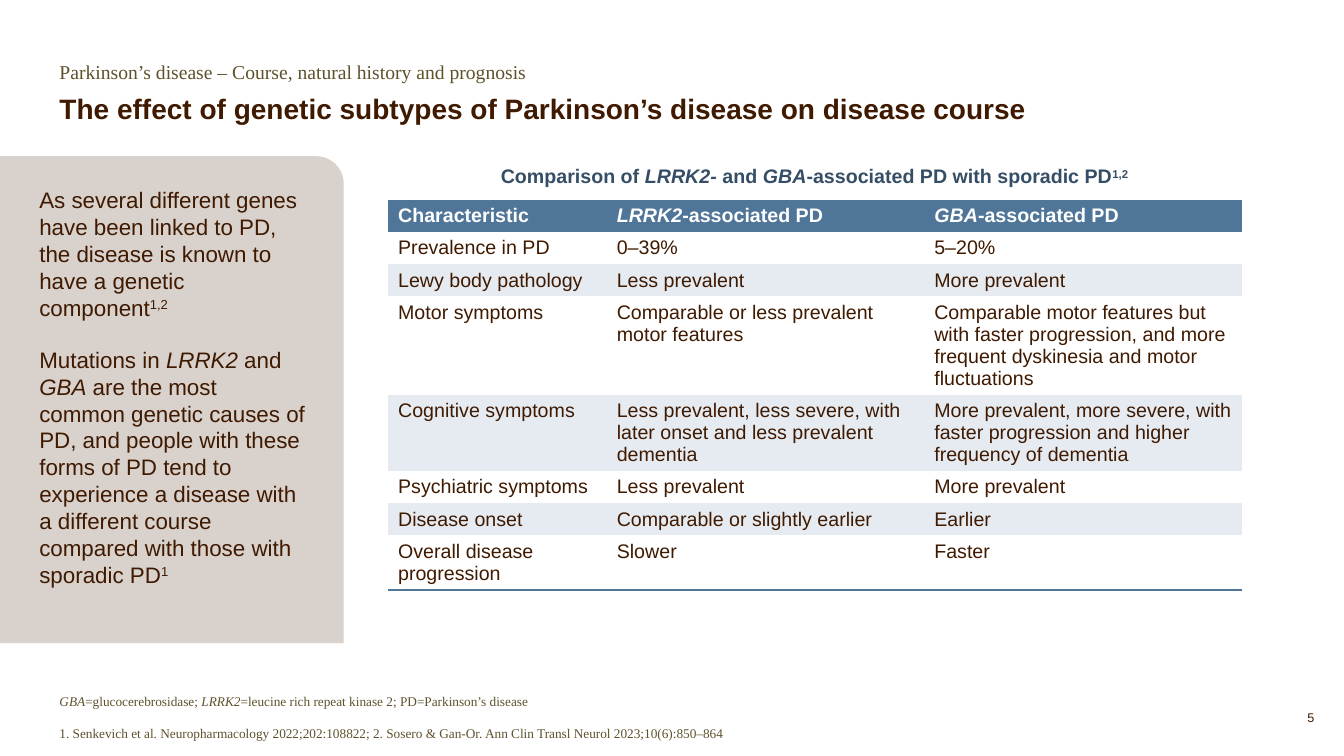
from dataclasses import dataclass

from lxml.etree import SubElement
from pptx import Presentation
from pptx.dml.color import RGBColor
from pptx.enum.shapes import MSO_SHAPE
from pptx.enum.text import MSO_ANCHOR, PP_ALIGN
from pptx.oxml.ns import qn
from pptx.slide import Slide
from pptx.table import _Cell
from pptx.text.text import TextFrame, _Paragraph
from pptx.util import Pt

BROWN = "3F1A01"
OLIVE = "5E512C"
BLUE = "4F7599"
NAVY = "354E66"
WHITE = "FFFFFF"
PALE_BLUE = "E5EBF1"
BEIGE = "D9D1CC"
NO_STYLE_TABLE = "{2D5ABB26-0587-4C30-8999-92F81FD0307C}"


@dataclass(frozen=True)
class Span:
    text: str
    italic: bool = False
    raised: bool = False


@dataclass(frozen=True)
class Style:
    size: float
    color: str
    font: str = "Arial"
    bold: bool = False


@dataclass(frozen=True)
class TextBlock:
    left: float
    top: float
    width: float
    height: float
    style: Style
    paragraphs: list[list[Span]]
    anchor: MSO_ANCHOR = MSO_ANCHOR.TOP
    align: PP_ALIGN = PP_ALIGN.LEFT
    gap: float = 0
    line_spacing: float = 1


@dataclass(frozen=True)
class Row:
    height: float
    cells: list[list[Span]]


LRRK2 = Span("LRRK2", italic=True)
GBA = Span("GBA", italic=True)

TEXT_BLOCKS = [
    TextBlock(42.5, 42.5, 725.8, 20.9, Style(14, OLIVE, "Times New Roman"),
              [[Span("Parkinson’s disease – Course, natural history and prognosis")]]),
    TextBlock(42.5, 64.1, 725.8, 25.9, Style(20, BROWN, bold=True),
              [[Span("The effect of genetic subtypes of Parkinson’s disease on disease course")]],
              anchor=MSO_ANCHOR.BOTTOM, line_spacing=0.9),
    TextBlock(42.5, 480.2, 725.8, 49, Style(9.5, OLIVE, "Times New Roman"),
              [[GBA, Span("=glucocerebrosidase; "), LRRK2,
                Span("=leucine rich repeat kinase 2; PD=Parkinson’s disease")],
               [Span("1. Senkevich et al. Neuropharmacology 2022;202:108822; "
                     "2. Sosero & Gan-Or. Ann Clin Transl Neurol 2023;10(6):850–864")]],
              anchor=MSO_ANCHOR.BOTTOM, gap=11.4),
    TextBlock(892.1, 506.9, 46.8, 12.2, Style(9, BROWN), [[Span("5")]],
              align=PP_ALIGN.RIGHT),
    TextBlock(348.5, 117.4, 466.6, 17.3, Style(14, NAVY, bold=True),
              [[Span("Comparison of "), Span("LRRK2-", italic=True), Span(" and "), GBA,
                Span("-associated PD with sporadic PD"), Span("1,2", raised=True)]],
              align=PP_ALIGN.CENTER),
]

PANEL_PARAGRAPHS = [
    [Span("As several different genes have been linked to PD, the disease is known "
          "to have a genetic component"), Span("1,2", raised=True)],
    [Span("Mutations in "), LRRK2, Span(" and "), GBA,
     Span(" are the most common genetic causes of PD, and people with these forms of PD "
          "tend to experience a disease with a different course compared with those with "
          "sporadic PD"), Span("1", raised=True)],
]

COLUMN_WIDTHS = [156.2, 226.8, 226.8]
ROWS = [
    Row(23, [[Span("Characteristic")], [LRRK2, Span("-associated PD")],
             [GBA, Span("-associated PD")]]),
    Row(23, [[Span("Prevalence in PD")], [Span("0–39%")], [Span("5–20%")]]),
    Row(23, [[Span("Lewy body pathology")], [Span("Less prevalent")],
             [Span("More prevalent")]]),
    Row(70.4, [[Span("Motor symptoms")],
               [Span("Comparable or less prevalent motor features")],
               [Span("Comparable motor features but with faster progression, and more "
                     "frequent dyskinesia and motor fluctuations")]]),
    Row(54.4, [[Span("Cognitive symptoms")],
               [Span("Less prevalent, less severe, with later onset and less prevalent "
                     "dementia")],
               [Span("More prevalent, more severe, with faster progression and higher "
                     "frequency of dementia")]]),
    Row(23, [[Span("Psychiatric symptoms")], [Span("Less prevalent")],
             [Span("More prevalent")]]),
    Row(23, [[Span("Disease onset")], [Span("Comparable or slightly earlier")],
             [Span("Earlier")]]),
    Row(38.6, [[Span("Overall disease progression")], [Span("Slower")], [Span("Faster")]]),
]


def rgb(color: str) -> RGBColor:
    return RGBColor.from_string(color)


def write_spans(paragraph: _Paragraph, spans: list[Span], style: Style) -> None:
    for span in spans:
        run = paragraph.add_run()
        run.text = span.text
        run.font.size = Pt(style.size)
        run.font.name = style.font
        run.font.bold = style.bold
        run.font.italic = span.italic
        run.font.color.rgb = rgb(style.color)
        if span.raised:
            run._r.get_or_add_rPr().set("baseline", "30000")


def write_paragraphs(frame: TextFrame, paragraphs: list[list[Span]], style: Style,
                     gap: float = 0, align: PP_ALIGN = PP_ALIGN.LEFT,
                     line_spacing: float = 1) -> None:
    for index, spans in enumerate(paragraphs):
        paragraph = frame.add_paragraph() if index else frame.paragraphs[0]
        paragraph.alignment = align
        paragraph.line_spacing = line_spacing
        if index:
            paragraph.space_before = Pt(gap)
        write_spans(paragraph, spans, style)


def set_margins(frame: TextFrame, left: float, top: float, right: float,
                bottom: float) -> None:
    frame.margin_left, frame.margin_top = Pt(left), Pt(top)
    frame.margin_right, frame.margin_bottom = Pt(right), Pt(bottom)


def add_text_block(slide: Slide, block: TextBlock) -> None:
    frame = slide.shapes.add_textbox(Pt(block.left), Pt(block.top), Pt(block.width),
                                     Pt(block.height)).text_frame
    frame.word_wrap = True
    frame.vertical_anchor = block.anchor
    set_margins(frame, 0, 0, 0, 0)
    write_paragraphs(frame, block.paragraphs, block.style, block.gap, block.align,
                     block.line_spacing)


def add_panel(slide: Slide) -> None:
    panel = slide.shapes.add_shape(MSO_SHAPE.ROUND_1_RECTANGLE, Pt(0), Pt(111.6),
                                   Pt(245.5), Pt(347.8))
    panel.adjustments[0] = 0.08
    panel.shadow.inherit = False
    panel.fill.solid()
    panel.fill.fore_color.rgb = rgb(BEIGE)
    panel.line.fill.background()
    frame = panel.text_frame
    frame.word_wrap = True
    frame.vertical_anchor = MSO_ANCHOR.TOP
    set_margins(frame, 28.1, 21.6, 21.6, 21.6)
    write_paragraphs(frame, PANEL_PARAGRAPHS, Style(16, BROWN), gap=18)


def add_bottom_border(cell: _Cell, color: str, width: float) -> None:
    properties = cell._tc.get_or_add_tcPr()
    border = SubElement(properties, qn("a:lnB"), w=str(Pt(width)))
    fill = SubElement(border, qn("a:solidFill"))
    SubElement(fill, qn("a:srgbClr"), val=color)
    properties.insert(0, border)


def add_comparison_table(slide: Slide) -> None:
    table = slide.shapes.add_table(
        len(ROWS), len(COLUMN_WIDTHS), Pt(277.2), Pt(142.7), Pt(sum(COLUMN_WIDTHS)),
        Pt(sum(row.height for row in ROWS))).table
    table._tbl.tblPr.find(qn("a:tableStyleId")).text = NO_STYLE_TABLE
    for column, width in zip(table.columns, COLUMN_WIDTHS):
        column.width = Pt(width)
    for row_index, row in enumerate(ROWS):
        table.rows[row_index].height = Pt(row.height)
        is_header = row_index == 0
        style = Style(14, WHITE if is_header else BROWN, bold=is_header)
        band = WHITE if row_index % 2 else PALE_BLUE
        for column_index, spans in enumerate(row.cells):
            cell = table.cell(row_index, column_index)
            cell.fill.solid()
            cell.fill.fore_color.rgb = rgb(BLUE if is_header else band)
            write_paragraphs(cell.text_frame, [spans], style)
            if row_index == len(ROWS) - 1:
                add_bottom_border(cell, BLUE, 1.5)


def main() -> None:
    presentation = Presentation()
    presentation.slide_width, presentation.slide_height = Pt(960), Pt(540)
    slide = presentation.slides.add_slide(presentation.slide_layouts[6])
    add_panel(slide)
    add_comparison_table(slide)
    for block in TEXT_BLOCKS:
        add_text_block(slide, block)
    presentation.save("out.pptx")


if __name__ == "__main__":
    main()
